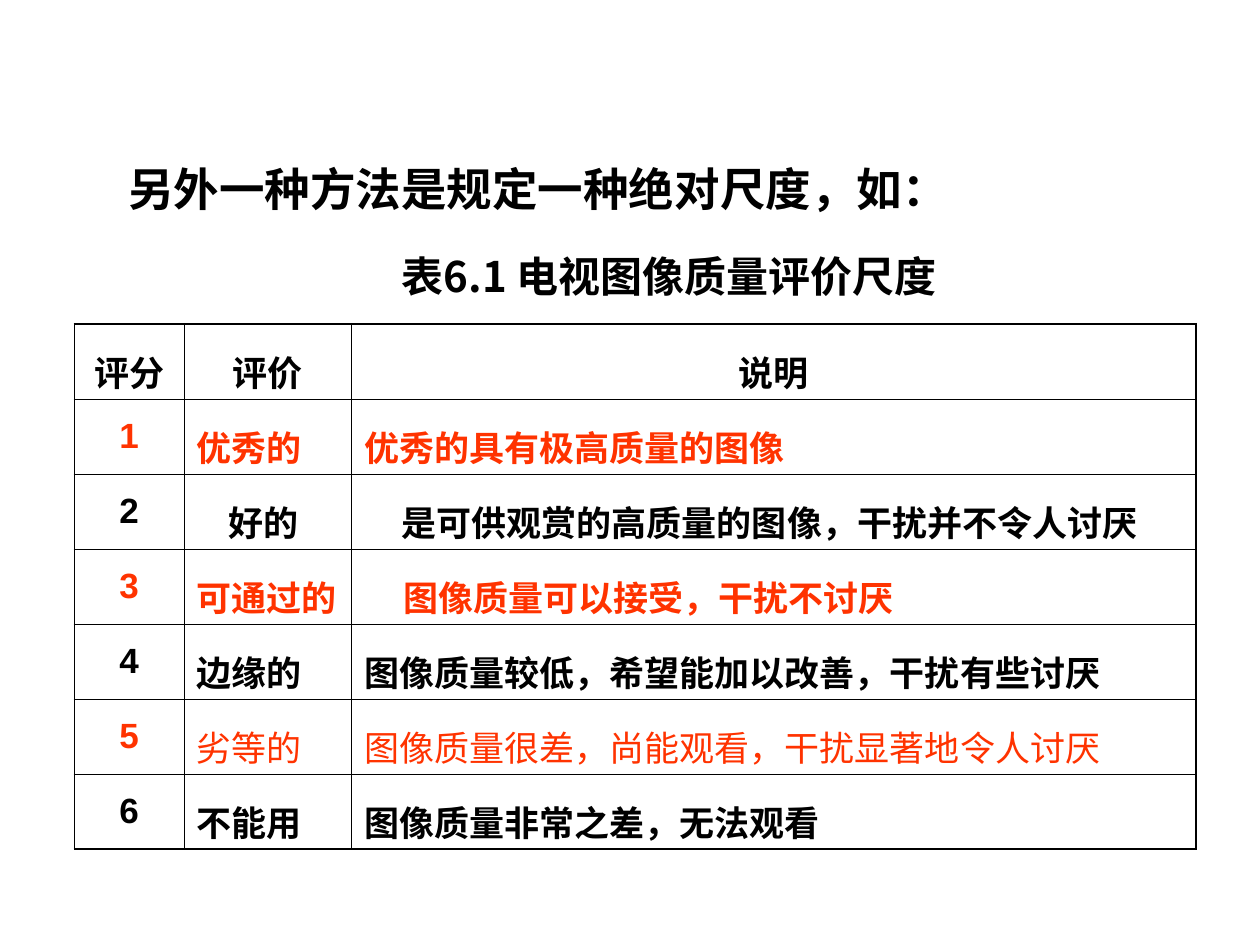
from lxml.etree import SubElement
from pptx import Presentation
from pptx.dml.color import RGBColor
from pptx.enum.text import PP_ALIGN
from pptx.oxml.ns import qn
from pptx.util import Inches, Pt

BLACK, RED = "000000", "FF3300"
LATIN, SERIF, CHINESE = "Arial", "Times New Roman", "Noto Sans CJK SC"
LEFT, CENTER = PP_ALIGN.LEFT, PP_ALIGN.CENTER
THICK, THIN = 1.08, 0.45


def color(value):
    return RGBColor.from_string(value)


class SlideBuilder:
    base = {"name": LATIN, "size": Pt(20), "bold": True}

    def __init__(self, slide):
        self.slide = slide

    def run(self, paragraph, text, ink=BLACK, **changes):
        run = paragraph.add_run()
        run.text = text
        run.font.color.rgb = color(ink)
        for attribute, value in {**self.base, **changes}.items():
            setattr(run.font, attribute, value)
        properties = run.font._element
        SubElement(properties, qn("a:ea"), typeface=CHINESE)

    def text_box(self, left, top, width, height, runs, size):
        shape = self.slide.shapes.add_textbox(
            Inches(left), Inches(top), Inches(width), Inches(height))
        frame = shape.text_frame
        frame.word_wrap = True
        for text, font in runs:
            self.run(frame.paragraphs[0], text, name=font, size=Pt(size))

    def borders(self, cell, widths):
        properties = cell._tc.get_or_add_tcPr()
        for position, (side, width) in enumerate(widths.items()):
            line = properties.makeelement(qn(f"a:ln{side}"), w=str(Pt(width)))
            fill = SubElement(line, qn("a:solidFill"))
            SubElement(fill, qn("a:srgbClr"), val=BLACK)
            properties.insert(position, line)

    def cell(self, cell, text, alignment, indent=0, **style):
        cell.fill.background()
        # A small bottom margin lets the tall lines fit the row height
        cell.margin_bottom = Inches(0.02)
        paragraph = cell.text_frame.paragraphs[0]
        paragraph.alignment = alignment
        paragraph.line_spacing = 1.3
        if indent:
            paragraph._p.get_or_add_pPr().set("marL", str(Inches(indent)))
        self.run(paragraph, text, **style)

    def table(self, left, top, widths, height, rows):
        last_row, last_column = len(rows) - 1, len(widths) - 1
        table = self.slide.shapes.add_table(
            len(rows), len(widths), Inches(left), Inches(top),
            Inches(sum(widths)), Inches(height)).table
        table.first_row = table.horz_banding = False
        for column, width in zip(table.columns, widths):
            column.width = Inches(width)
        for r, row in enumerate(rows):
            table.rows[r].height = Inches(height / len(rows))
            for c, (text, style) in enumerate(row):
                cell = table.cell(r, c)
                self.cell(cell, text, **style)
                self.borders(cell, {
                    "L": THIN if c else THICK,
                    "R": THICK if c == last_column else THIN,
                    "T": THIN if r else THICK,
                    "B": THICK if r == last_row else THIN})


def rating_rows():
    header = [(text, {"alignment": CENTER}) for text in ("评分", "评价", "说明")]
    # Rating, description, format of both, extra format of the description
    ratings = [
        ("优秀的", "优秀的具有极高质量的图像", {}, {}),
        ("好的 ", "是可供观赏的高质量的图像，干扰并不令人讨厌 ",
         {"alignment": CENTER}, {}),
        ("可通过的", "图像质量可以接受，干扰不讨厌", {}, {"indent": 0.31}),
        ("边缘的", "图像质量较低，希望能加以改善，干扰有些讨厌", {}, {}),
        ("劣等的", "图像质量很差，尚能观看，干扰显著地令人讨厌",
         {"name": SERIF, "bold": False}, {}),
        ("不能用", "图像质量非常之差，无法观看", {}, {}),
    ]
    rows = [header]
    for score, (rating, description, style, extra) in enumerate(ratings, 1):
        ink = {"ink": RED if score % 2 else BLACK}
        words = {"alignment": LEFT, **ink, **style}
        rows.append([(str(score), {"alignment": CENTER, **ink}),
                     (rating, words), (description, {**words, **extra})])
    return rows


def main():
    presentation = Presentation()
    presentation.slide_width = Inches(10)
    presentation.slide_height = Inches(7.5)
    builder = SlideBuilder(
        presentation.slides.add_slide(presentation.slide_layouts[6]))

    # Rating table
    builder.table(0.59, 2.57, [0.87, 1.33, 6.7], 4.17, rating_rows())

    # Lead sentence and table caption
    builder.text_box(0.92, 1.23, 6.8, 0.54,
                     [("另外一种方法是规定一种绝对尺度，如：", LATIN)], 26)
    builder.text_box(3.09, 1.94, 4.8, 0.5,
                     [("表", SERIF), ("6.1 ", CHINESE),
                      ("电视图像质量评价尺度", SERIF)], 24)

    presentation.save("out.pptx")


if __name__ == "__main__":
    main()
